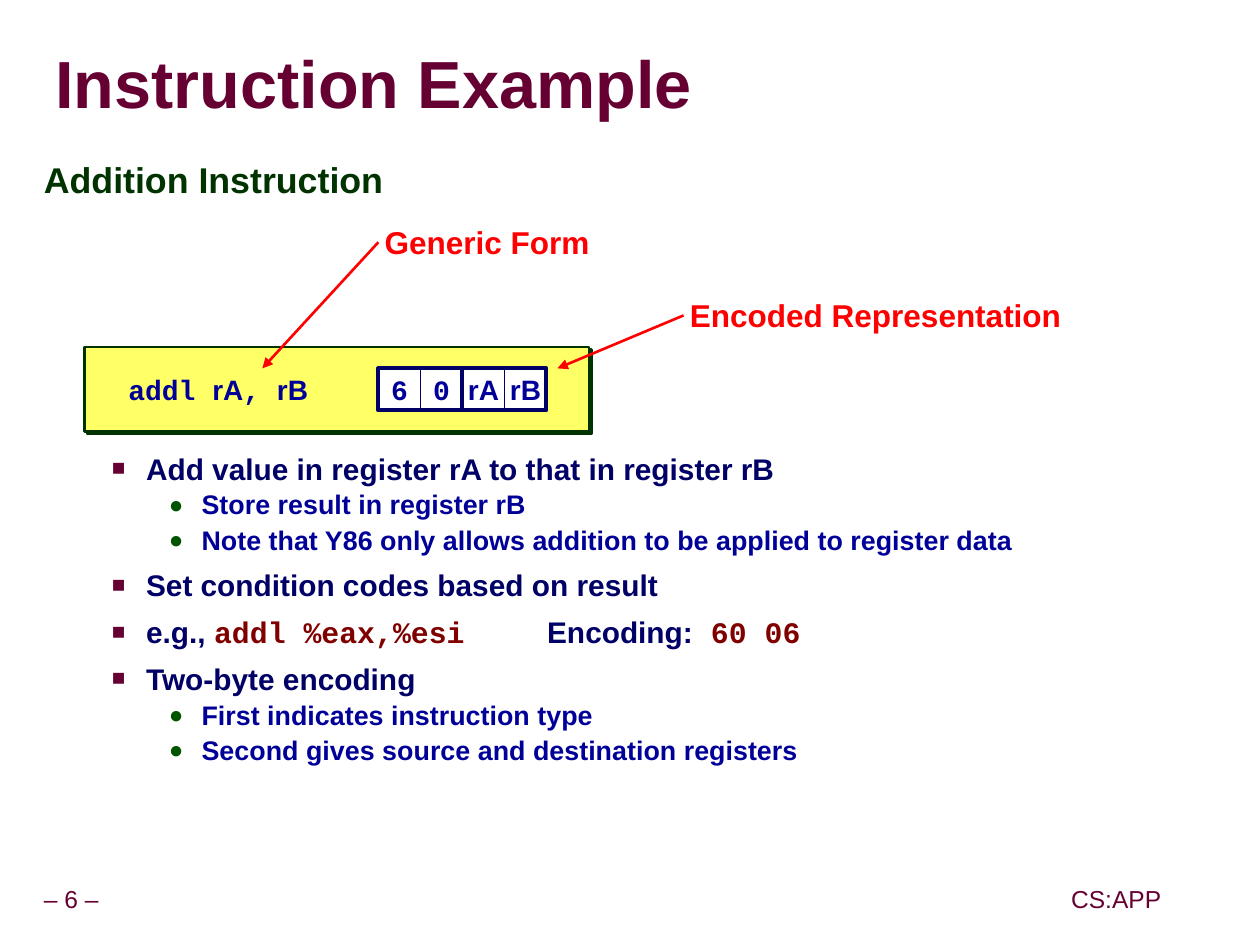
from lxml import etree
from pptx import Presentation
from pptx.dml.color import RGBColor
from pptx.enum import shapes, text
from pptx.oxml import ns
from pptx.util import Inches, Pt

SANS, MONO = "Arial", "Courier New"
PLUM, GREEN, NAVY, BLUE = "660033", "003300", "000066", "000099"
RED, MAROON, YELLOW, WHITE = "FF0002", "800000", "FFFF66", "FFFFFF"
LEFT, CENTER = text.PP_ALIGN.LEFT, text.PP_ALIGN.CENTER

TITLE = "Instruction Example"
HEADING = "Addition Instruction"
FOOTERS = [("– 6 –", -0.09, 1.31), ("CS:APP", 8.44, 0.82)]
GENERIC_FORM = [("addl ", MONO), ("rA", SANS), (", ", MONO), ("rB", SANS)]
ENCODED_BYTES = [[("6", MONO), ("0", MONO)], [("rA", SANS), ("rB", SANS)]]
# label, label position, arrow tip
CALLOUTS = [
    ("Encoded Representation", (5.42, 2.33), (4.42, 2.92)),
    ("Generic Form", (3, 1.75), (2.08, 2.92)),
]
# level, runs as (text, font, colour)
BULLETS = [
    (1, [("Add value in register rA to that in register rB", SANS, NAVY)]),
    (2, [("Store result in register rB", SANS, BLUE)]),
    (2, [("Note that Y86 only allows addition to be applied to register data",
          SANS, BLUE)]),
    (1, [("Set condition codes based on result", SANS, NAVY)]),
    (1, [("e.g., ", SANS, NAVY), ("addl %eax,%esi\t", MONO, MAROON),
         ("Encoding:", SANS, NAVY), (" 60 06", MONO, MAROON)]),
    (1, [("Two-byte encoding", SANS, NAVY)]),
    (2, [("First indicates instruction type", SANS, BLUE)]),
    (2, [("Second gives source and destination registers", SANS, BLUE)]),
]
# level: margin, indent, size, line spacing, space before, bullet, colour, percent
LEVELS = {
    1: (0.81, -0.27, 17, 1.0, 6.2, "■", PLUM, 75),
    2: (1.25, -0.26, 15.3, 0.97, 2.2, "●", "005400", 90),
}
ENCODING_TAB = 3.99
CELL, ROW_TOP, BYTES_LEFT = 1 / 3, 2.92, 3

prs = Presentation()
prs.slide_width, prs.slide_height = Inches(9.99), Inches(7.49)
s = prs.slides.add_slide(prs.slide_layouts[6])


def rgb(color):
    return RGBColor.from_string(color)


def add_xml(parent, tag, **attrs):
    return etree.SubElement(parent, ns.qn(tag), attrs)


def set_font(font, size, color, name=SANS, bold=True):
    font.size, font.bold, font.name = Pt(size), bold, name
    font.color.rgb = rgb(color)


def add_shadow(effects, color, dist, alpha="100000"):
    """Put a hard shadow, down and to the right, in an a:effectLst."""
    shadow = add_xml(effects, "a:outerShdw", blurRad="0", dist=str(Pt(dist)),
                     dir="2700000", algn="ctr", rotWithShape="0")
    add_xml(add_xml(shadow, "a:srgbClr", val=color), "a:alpha", val=alpha)


def set_frame(tf, insets=(0.1, 0.05), anchor=text.MSO_ANCHOR.MIDDLE, wrap=False):
    tf.margin_left = tf.margin_right = Inches(insets[0])
    tf.margin_top = tf.margin_bottom = Inches(insets[1])
    tf.vertical_anchor, tf.word_wrap = anchor, wrap
    return tf


def add_text(value, x, y, w, h, size, color, spacing=0.9, bold=True,
             align=LEFT, **frame):
    tf = set_frame(s.shapes.add_textbox(
        Inches(x), Inches(y), Inches(w), Inches(h)).text_frame, **frame)
    p = tf.paragraphs[0]
    p.alignment, p.line_spacing = align, spacing
    set_font(p.font, size, color, bold=bold)
    r = p.add_run()
    r.text = value
    return r


def add_box(x, y, w, h, line, width, fill=None):
    sp = s.shapes.add_shape(shapes.MSO_SHAPE.RECTANGLE,
                            Inches(x), Inches(y), Inches(w), Inches(h))
    sp.shadow.inherit = False
    if fill:
        sp.fill.solid()
        sp.fill.fore_color.rgb = rgb(fill)
    else:
        sp.fill.background()
    sp.line.color.rgb, sp.line.width = rgb(line), Pt(width)
    return sp


def add_arrow(start, end):
    points = [Inches(v) for v in (*start, *end)]
    c = s.shapes.add_connector(shapes.MSO_CONNECTOR.STRAIGHT, *points)
    c.line.color.rgb, c.line.width = rgb(RED), Pt(1.5)
    add_xml(c.line._get_or_add_ln(), "a:tailEnd", type="triangle")
    add_xml(c._element.spPr, "a:effectLst")


def add_bullet(p, level, runs, first):
    margin, indent, size, spacing, before, char, color, percent = LEVELS[level]
    pPr = p._p.get_or_add_pPr()
    pPr.set("marL", str(Inches(margin)))
    pPr.set("indent", str(Inches(indent)))
    add_xml(add_xml(pPr, "a:buClr"), "a:srgbClr", val=color)
    add_xml(pPr, "a:buSzPct", val=str(percent * 1000))
    add_xml(pPr, "a:buFont", typeface=SANS)
    add_xml(pPr, "a:buChar", char=char)
    if any("\t" in value for value, _, _ in runs):
        add_xml(add_xml(pPr, "a:tabLst"), "a:tab",
                pos=str(Inches(ENCODING_TAB)), algn="l")
    p.line_spacing, p.space_before = spacing, Pt(0 if first else before)
    for value, name, run_color in runs:
        r = p.add_run()
        r.text = value
        set_font(r.font, size, run_color, name)


for label, x, w in FOOTERS:
    add_text(label, x, 6.98, w, 0.31, 14, PLUM, bold=False, align=CENTER,
             insets=(0.05, 0.05))

panel = add_box(0.67, 2.75, 4, 0.67, GREEN, 1.5, YELLOW)
add_shadow(panel._element.spPr.find(ns.qn("a:effectLst")), GREEN, 2)

title = add_text(TITLE, 0.44, 0.27, 9.52, 0.85, 38, PLUM, 0.87,
                 insets=(0, 0), wrap=True)
add_shadow(add_xml(title._r.get_or_add_rPr(), "a:effectLst"), "000000", 3, "43000")

add_text(HEADING, 0.25, 1.25, 9.07, 0.4, 20.4, GREEN, 0.85,
         anchor=text.MSO_ANCHOR.TOP, wrap=True)

body = set_frame(s.shapes.add_textbox(
    Inches(0.25), Inches(3.52), Inches(9.07), Inches(2.56)).text_frame,
    anchor=text.MSO_ANCHOR.TOP, wrap=True)
for i, (level, runs) in enumerate(BULLETS):
    add_bullet(body.add_paragraph() if i else body.paragraphs[0],
               level, runs, first=i == 0)

form = set_frame(s.shapes.add_textbox(
    Inches(0.92), Inches(ROW_TOP), Inches(2.08), Inches(CELL)).text_frame)
for value, name in GENERIC_FORM:
    r = form.paragraphs[0].add_run()
    r.text = value
    set_font(r.font, 16, BLUE, name)

for i, nibbles in enumerate(ENCODED_BYTES):
    left = BYTES_LEFT + i * 2 * CELL
    for j, (value, name) in enumerate(nibbles):
        cell = add_box(left + j * CELL, ROW_TOP, CELL, CELL, NAVY, 0.5, WHITE)
        p = set_frame(cell.text_frame).paragraphs[0]
        p.alignment = CENTER
        set_font(p.font, 16, BLUE, name)
        p.add_run().text = value
    add_box(left, ROW_TOP, 2 * CELL, CELL, NAVY, 2.25)

for label, (x, y), tip in CALLOUTS:
    add_arrow((x, y + 0.17), tip)
    add_text(label, x, y, 3.05, 0.37, 18, RED, insets=(0.05, 0.05),
             anchor=text.MSO_ANCHOR.TOP)

prs.save("out.pptx")
